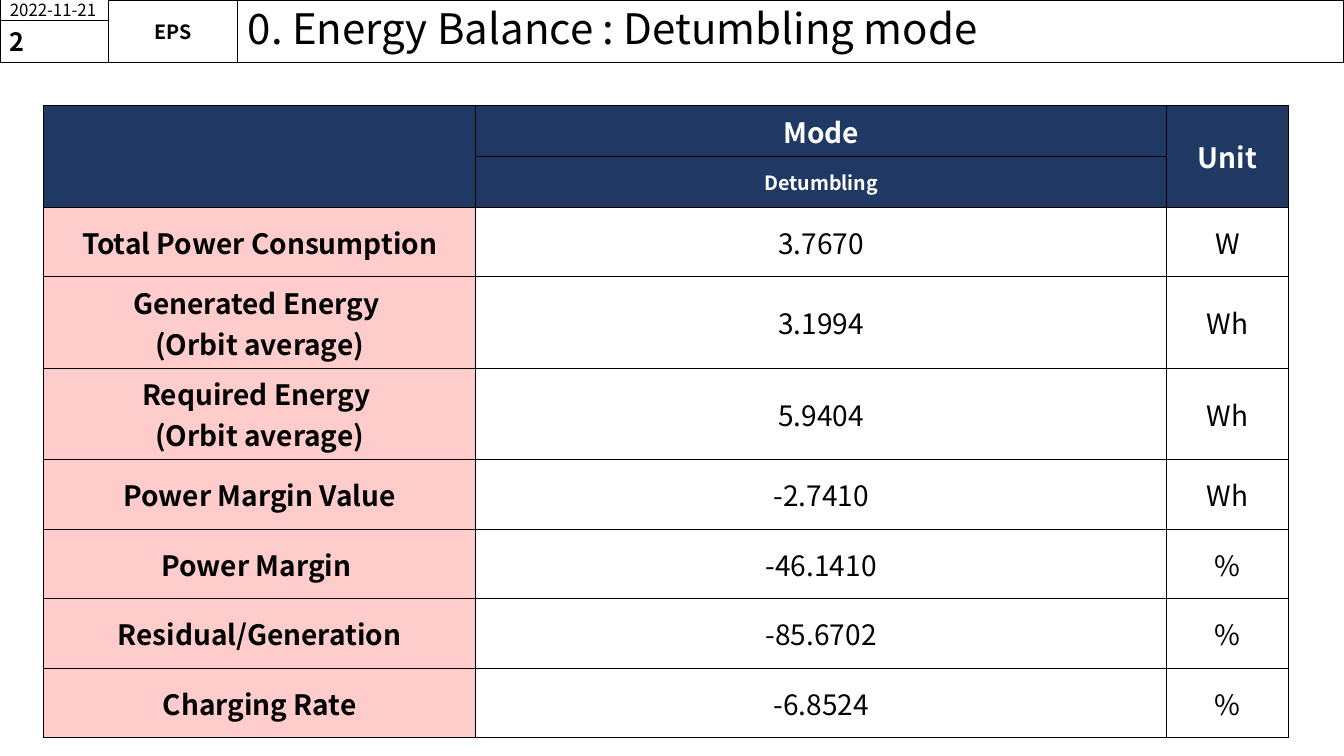
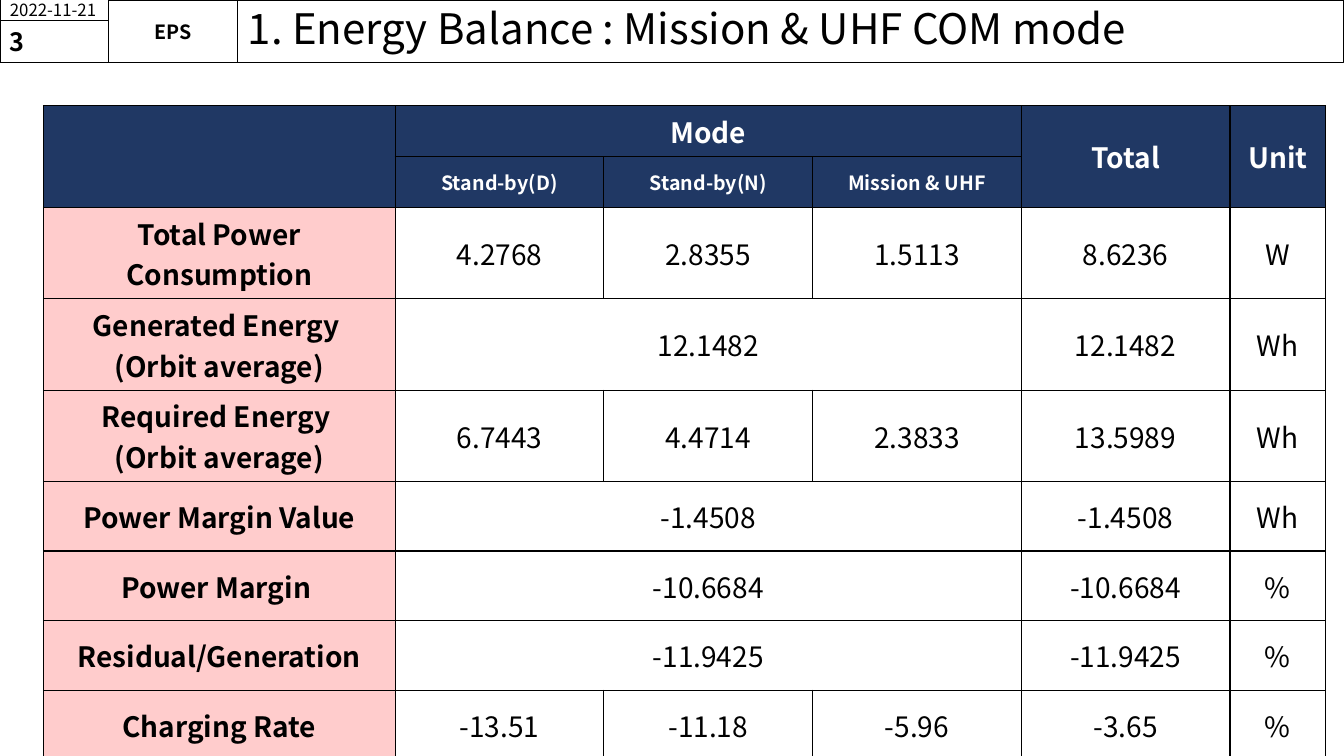
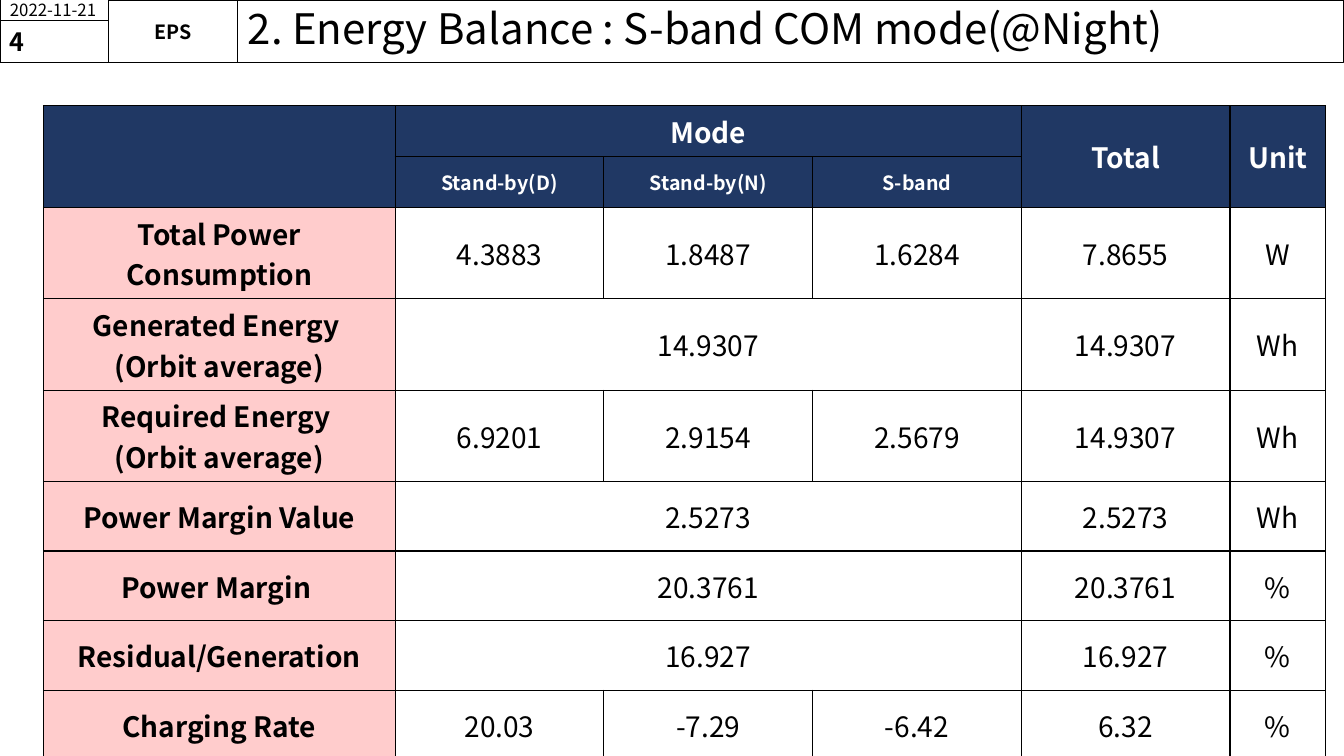
from lxml import etree
from pptx import Presentation
from pptx.dml.color import RGBColor
from pptx.enum.shapes import MSO_SHAPE
from pptx.enum.text import MSO_ANCHOR, PP_ALIGN
from pptx.oxml.ns import qn
from pptx.util import Inches, Pt

FONT = "Noto Sans CJK KR"
COLORS = {"ink": "000000", "paper": "FFFFFF", "header": "203864", "label": "FFCCCC"}
DATE, SUBSYSTEM = "2022-11-21", "EPS"

QUANTITIES = [
    ("Total Power Consumption", "W"),
    ("Generated Energy \n(Orbit average)", "Wh"),
    ("Required Energy \n(Orbit average)", "Wh"),
    ("Power Margin Value", "Wh"),
    ("Power Margin ", "%"),
    ("Residual/Generation", "%"),
    ("Charging Rate", "%"),
]
SLIDES = [
    {
        "title": "0. Energy Balance : Detumbling mode",
        "modes": ["Detumbling"],
        "widths": [4.29, 6.85, 1.21],
        "values": [["3.7670"], ["3.1994"], ["5.9404"], ["-2.7410"],
                   ["-46.1410"], ["-85.6702"], ["-6.8524"]],
        "totals": None,
    },
    {
        "title": "1. Energy Balance : Mission & UHF COM mode",
        "modes": ["Stand-by(D)", "Stand-by(N)", "Mission & UHF"],
        "widths": [3.49] + [2.07] * 4 + [0.95],
        "values": [["4.2768", "2.8355", "1.5113"], ["12.1482"],
                   ["6.7443", "4.4714", "2.3833"], ["-1.4508"],
                   ["-10.6684"], ["-11.9425"], ["-13.51", "-11.18", "-5.96"]],
        "totals": ["8.6236", "12.1482", "13.5989", "-1.4508",
                   "-10.6684", "-11.9425", "-3.65"],
    },
    {
        "title": "2. Energy Balance : S-band COM mode(@Night)",
        "modes": ["Stand-by(D)", "Stand-by(N)", "S-band"],
        "widths": [3.49] + [2.07] * 4 + [0.95],
        "values": [["4.3883", "1.8487", "1.6284"], ["14.9307"],
                   ["6.9201", "2.9154", "2.5679"], ["2.5273"],
                   ["20.3761"], ["16.927"], ["20.03", "-7.29", "-6.42"]],
        "totals": ["7.8655", "14.9307", "14.9307", "2.5273",
                   "20.3761", "16.927", "6.32"],
    },
]
FIRST_PAGE = 2
TABLE_LEFT, TABLE_TOP = 0.43, 1.05
HEADER_ROW, BODY_ROW = 0.5, 0.69


def rgb(name):
    return RGBColor.from_string(COLORS[name])


def write(frame, text, size, bold=False, color="ink", align=PP_ALIGN.LEFT):
    frame.text = text
    for paragraph in frame.paragraphs:
        paragraph.alignment = align
        font = paragraph.font
        for target in [font] + [run.font for run in paragraph.runs]:
            target.name, target.size, target.bold = FONT, Pt(size), bold
            target.color.rgb = rgb(color)


def add_box(slide, left, top, width, height, text, size, bold=False):
    box = slide.shapes.add_shape(MSO_SHAPE.RECTANGLE, Inches(left), Inches(top),
                                 Inches(width), Inches(height))
    box.shadow.inherit = False
    box.fill.background()
    box.line.color.rgb = rgb("ink")
    box.line.width = Pt(0.75)
    box.text_frame.word_wrap = True
    box.text_frame.vertical_anchor = MSO_ANCHOR.MIDDLE
    write(box.text_frame, text, size, bold)
    return box


def add_header(slide, title, page):
    title_box = add_box(slide, 2.36, 0, 10.97, 0.62, title, 30)
    title_box.text_frame.paragraphs[0].line_spacing = 0.9
    add_box(slide, 0, 0, 1.08, 0.2, DATE, 12)
    subsystem = add_box(slide, 1.08, 0, 1.28, 0.62, SUBSYSTEM, 14, True).text_frame
    subsystem.margin_left = subsystem.margin_right = 0
    subsystem.margin_top = subsystem.margin_bottom = 0
    subsystem.paragraphs[0].alignment = PP_ALIGN.CENTER
    add_box(slide, 0, 0.2, 1.08, 0.42, str(page), 18, True)


def add_borders(cell):
    properties = cell._tc.get_or_add_tcPr()
    for side in ("a:lnL", "a:lnR", "a:lnT", "a:lnB"):
        line = etree.SubElement(properties, qn(side), w=str(Pt(1)))
        fill = etree.SubElement(line, qn("a:solidFill"))
        etree.SubElement(fill, qn("a:srgbClr"), val=COLORS["ink"])


def style_cell(cell, text, row, column):
    is_header, is_label = row < 2, column == 0
    add_borders(cell)
    if is_header or is_label:
        cell.fill.solid()
        cell.fill.fore_color.rgb = rgb("header" if is_header else "label")
    else:
        cell.fill.background()
    cell.vertical_anchor = MSO_ANCHOR.MIDDLE
    write(cell.text_frame, text, 14 if row == 1 else 20, is_header or is_label,
          "paper" if is_header else "ink", PP_ALIGN.CENTER)


def add_balance_table(slide, modes, widths, values, totals):
    count = len(modes)
    padding = [""] * (count - 1)
    tail = ["Total", "Unit"] if totals else ["Unit"]
    grid = [["", "Mode"] + padding + tail, [""] + modes + [""] * len(tail)]
    for index, (label, unit) in enumerate(QUANTITIES):
        shown = values[index] + [""] * (count - len(values[index]))
        grid.append([label] + shown + ([totals[index]] if totals else []) + [unit])

    heights = [HEADER_ROW] * 2 + [BODY_ROW] * len(QUANTITIES)
    table = slide.shapes.add_table(
        len(grid), len(widths), Inches(TABLE_LEFT), Inches(TABLE_TOP),
        Inches(sum(widths)), Inches(sum(heights))).table
    table.first_row = table.horz_banding = False
    for column, width in zip(table.columns, widths):
        column.width = Inches(width)
    for row, height in zip(table.rows, heights):
        row.height = Inches(height)
    for r, texts in enumerate(grid):
        for c, text in enumerate(texts):
            style_cell(table.cell(r, c), text, r, c)

    for c in [0] + list(range(count + 1, len(widths))):
        table.cell(0, c).merge(table.cell(1, c))
    if count > 1:
        shared = [0] + [r for r, row in enumerate(values, 2) if len(row) == 1]
        for r in shared:
            table.cell(r, 1).merge(table.cell(r, count))


prs = Presentation()
prs.slide_width, prs.slide_height = Inches(13.33), Inches(7.5)
for page, content in enumerate(SLIDES, FIRST_PAGE):
    slide = prs.slides.add_slide(prs.slide_layouts[6])
    add_header(slide, content["title"], page)
    add_balance_table(slide, content["modes"], content["widths"],
                      content["values"], content["totals"])
prs.save("out.pptx")
